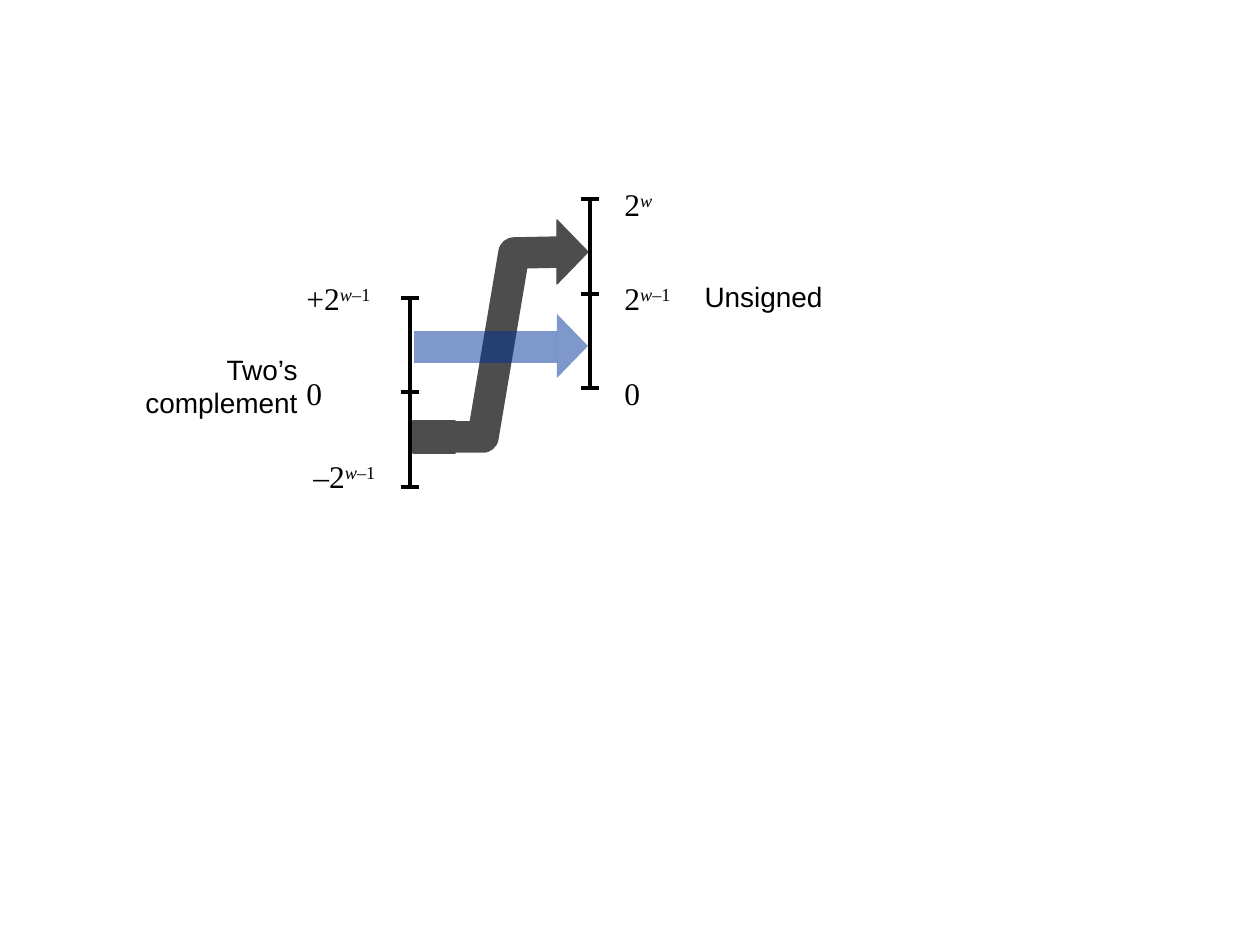
import dataclasses

import lxml.etree
import pptx
import pptx.dml.color
import pptx.enum.shapes
import pptx.enum.text
import pptx.oxml.ns
import pptx.util

SCALE = 914400 / 126


def emu(px):
    return pptx.util.Emu(round(px * SCALE))


@dataclasses.dataclass(frozen=True)
class Theme:
    ink: str = "000000"
    negative: str = "4D4D4D"
    positive: str = "003399"
    math_font: str = "Times New Roman"
    label_font: str = "Arial"
    math_size: int = 18
    label_size: int = 16
    axis_width: int = 2
    band_width: int = 18
    outline_width: float = 0.75


class Diagram:
    """Draws number axes, value labels and mapping arrows on one slide."""

    def __init__(self, slide, theme):
        self.shapes = slide.shapes
        self.theme = theme

    def stroke(self, line, color, width):
        line.color.rgb = pptx.dml.color.RGBColor.from_string(color)
        line.width = pptx.util.Pt(width)

    def line(self, x1, y1, x2, y2):
        connector = self.shapes.add_connector(
            pptx.enum.shapes.MSO_CONNECTOR.STRAIGHT, emu(x1), emu(y1), emu(x2), emu(y2))
        self.stroke(connector.line, self.theme.ink, self.theme.axis_width)
        lxml.etree.SubElement(connector._element.spPr, pptx.oxml.ns.qn("a:effectLst"))

    def axis(self, x, ticks):
        self.line(x, ticks[0], x, ticks[-1])
        for y in ticks:
            self.line(x - 9, y, x + 9, y)

    def text_frame(self, left, top, width, height):
        frame = self.shapes.add_textbox(emu(left), emu(top), emu(width), emu(height)).text_frame
        frame.word_wrap = False
        frame.auto_size = pptx.enum.text.MSO_AUTO_SIZE.SHAPE_TO_FIT_TEXT
        return frame

    def run(self, paragraph, text, font, size, italic=False, raised=False):
        run = paragraph.add_run()
        run.text = text
        run.font.name = font
        run.font.size = pptx.util.Pt(size)
        run.font.color.rgb = pptx.dml.color.RGBColor.from_string(self.theme.ink)
        if italic:
            run.font.italic = True
        if raised:
            run.font._element.set("baseline", "30000")

    def value(self, left, top, width, base, variable="", offset=""):
        paragraph = self.text_frame(left, top, width, 50).paragraphs[0]
        font, size = self.theme.math_font, self.theme.math_size
        self.run(paragraph, base, font, size)
        if variable:
            self.run(paragraph, variable, font, size, italic=True, raised=True)
        if offset:
            self.run(paragraph, offset, font, size, raised=True)

    def label(self, left, top, width, height, lines):
        frame = self.text_frame(left, top, width, height)
        for index, text in enumerate(lines):
            paragraph = frame.add_paragraph() if index else frame.paragraphs[0]
            paragraph.alignment = pptx.enum.text.PP_ALIGN.RIGHT
            self.run(paragraph, text, self.theme.label_font, self.theme.label_size)

    def paint(self, shape, color, opacity):
        shape.shadow.inherit = False
        shape.fill.solid()
        shape.fill.fore_color.rgb = pptx.dml.color.RGBColor.from_string(color)
        if opacity < 100:
            tint = shape._element.spPr.find(".//" + pptx.oxml.ns.qn("a:srgbClr"))
            alpha = lxml.etree.SubElement(tint, pptx.oxml.ns.qn("a:alpha"))
            alpha.set("val", str(opacity * 1000))
            shape.line.fill.background()
        else:
            self.stroke(shape.line, color, self.theme.outline_width)

    def outline(self, points, close):
        builder = self.shapes.build_freeform(*points[0], scale=SCALE)
        builder.add_line_segments(points[1:], close=close)
        return builder.convert_to_shape()

    def arrowhead(self, tip_x, tip_y, color, opacity=100):
        back = tip_x - 31
        head = self.outline([(back, tip_y - 32), (back, tip_y + 32), (tip_x, tip_y)], True)
        self.paint(head, color, opacity)

    def bar(self, left, top, width, height, color, opacity=100):
        bar = self.shapes.add_shape(
            pptx.enum.shapes.MSO_SHAPE.RECTANGLE, emu(left), emu(top), emu(width), emu(height))
        self.paint(bar, color, opacity)

    def band(self, points, color):
        band = self.outline(points, False)
        band.shadow.inherit = False
        band.fill.background()
        self.stroke(band.line, color, self.theme.band_width)


def main():
    presentation = pptx.Presentation()
    presentation.slide_width, presentation.slide_height = emu(1260), emu(945)
    theme = Theme()
    diagram = Diagram(presentation.slides.add_slide(presentation.slide_layouts[6]), theme)

    diagram.axis(410, (298, 392, 487))
    diagram.value(612, 368, 43, "0")
    diagram.value(612, 273, 77, "2", "w", "–1")
    diagram.value(612, 179, 55, "2", "w")
    diagram.label(689, 273, 146, 45, ["Unsigned"])
    diagram.label(132, 346, 178, 79, ["Two’s", "complement"])
    diagram.axis(590, (199, 294, 388))
    diagram.value(294, 368, 43, "0")
    diagram.value(294, 273, 95, "+2", "w", "–1")
    diagram.value(301, 451, 92, "–2", "w", "–1")

    diagram.band([(431, 437), (483, 437), (514, 253), (562, 252)], theme.negative)
    diagram.arrowhead(588, 252, theme.negative)
    diagram.bar(413, 421, 42, 32, theme.negative)
    diagram.arrowhead(588, 346, theme.positive, 50)
    diagram.bar(414, 331, 143, 32, theme.positive, 50)

    presentation.save("out.pptx")


if __name__ == "__main__":
    main()
